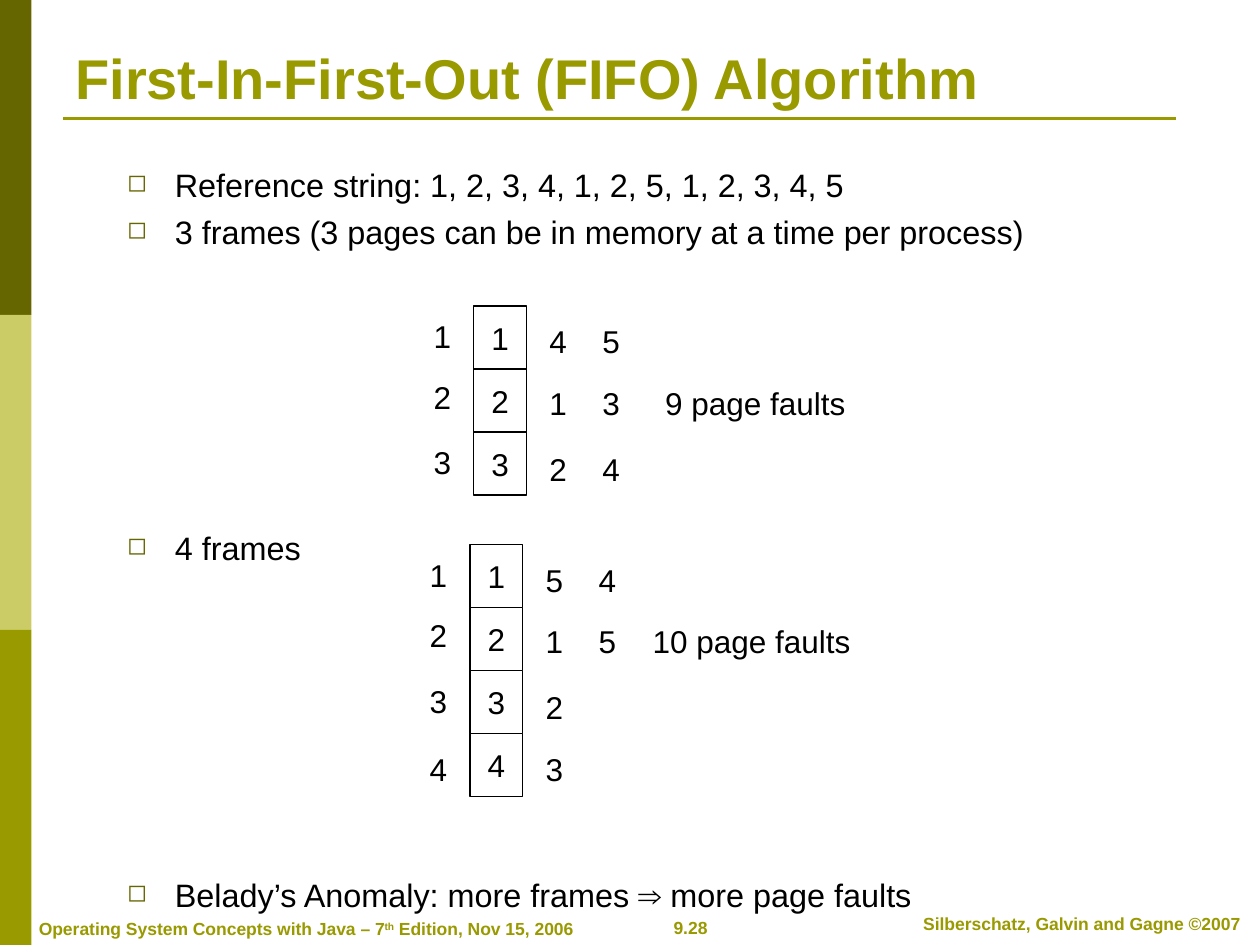
from dataclasses import dataclass

from lxml import etree
from pptx import Presentation
from pptx.dml.color import RGBColor as RGB
from pptx.enum.shapes import MSO_CONNECTOR as CONN, MSO_SHAPE as SHAPE
from pptx.enum.text import MSO_ANCHOR as ANCHOR, PP_ALIGN as ALIGN
from pptx.oxml.ns import qn
from pptx.util import Inches, Pt


@dataclass(frozen=True)
class Theme:
    font: str = "Arial"
    dark: str = "666600"
    pale: str = "CCCC66"
    olive: str = "999900"
    ink: str = "000000"
    paper: str = "FFFFFF"
    title: float = 32
    body: float = 18.5
    cell: float = 18
    footer: float = 10


THEME = Theme()
ROW = 0.5
CELL_W = 0.42
MARK_W, MARK_H = 0.34, 0.4
# Offsets from the top left of a frame stack
LABEL_X, LABEL_YS = -0.42, (0.04, 0.52, 1.04, 1.58)
PAGE_XS, PAGE_YS = (0.5, 0.92), (0.08, 0.57, 1.09, 1.58)


def style(r, size, color, bold=False):
    r.font.name = THEME.font
    r.font.size = Pt(size)
    r.font.bold = bold
    r.font.color.rgb = RGB.from_string(color)


def add_text(s, box, text, size, color=THEME.ink, bold=False,
             align=ALIGN.LEFT, anchor=ANCHOR.TOP, wrap=False):
    tf = s.shapes.add_textbox(*map(Inches, box)).text_frame
    tf.word_wrap = wrap
    tf.vertical_anchor = anchor
    p = tf.paragraphs[0]
    p.text = text
    p.alignment = align
    style(p.runs[0], size, color, bold)
    return p


def add_rect(s, box, fill, line=None):
    sp = s.shapes.add_shape(SHAPE.RECTANGLE, *map(Inches, box))
    sp.shadow.inherit = False
    sp.fill.solid()
    sp.fill.fore_color.rgb = RGB.from_string(fill)
    if line:
        sp.line.color.rgb = RGB.from_string(line)
        sp.line.width = Pt(0.75)
    else:
        sp.line.fill.background()
    return sp


def add_rule(s, x1, x2, y, width):
    line = s.shapes.add_connector(CONN.STRAIGHT, Inches(x1), Inches(y),
                                  Inches(x2), Inches(y))
    line.line.color.rgb = RGB.from_string(THEME.olive)
    line.line.width = Pt(width)
    etree.SubElement(line._element.spPr, qn("a:effectLst"))


def add_bullet(p):
    pPr = p._p.get_or_add_pPr()
    pPr.set("marL", str(Inches(0.38)))
    pPr.set("indent", str(-Inches(0.38)))
    color = etree.SubElement(pPr, qn("a:buClr"))
    etree.SubElement(color, qn("a:srgbClr"), val=THEME.dark)
    etree.SubElement(pPr, qn("a:buSzPct"), val="75000")
    etree.SubElement(pPr, qn("a:buChar"), char="◻")


def add_bullets(s, box, items):
    tf = s.shapes.add_textbox(*map(Inches, box)).text_frame
    tf.word_wrap = True
    for i, (text, before) in enumerate(items):
        p = tf.add_paragraph() if i else tf.paragraphs[0]
        p.text = text
        add_bullet(p)
        if before:
            p.space_before = Pt(before)
        style(p.runs[0], THEME.body, THEME.ink)


def add_mark(s, x, y, text, width=MARK_W):
    add_text(s, (x, y, width, MARK_H), text, THEME.cell,
             align=ALIGN.CENTER, anchor=ANCHOR.MIDDLE)


def add_frames(s, x, y, count, page_columns, faults, faults_x, faults_w):
    for i in range(count):
        sp = add_rect(s, (x, y + i * ROW, CELL_W, ROW), THEME.paper, THEME.ink)
        tf = sp.text_frame
        tf.word_wrap = False
        tf.vertical_anchor = ANCHOR.MIDDLE
        p = tf.paragraphs[0]
        p.text = str(i + 1)
        p.alignment = ALIGN.CENTER
        style(p.runs[0], THEME.cell, THEME.ink)
        add_mark(s, x + LABEL_X, y + LABEL_YS[i], str(i + 1))
    # Pages loaded later into each frame
    for dx, pages in zip(PAGE_XS, page_columns):
        for dy, page in zip(PAGE_YS, pages):
            add_mark(s, x + dx, y + dy, page)
    add_mark(s, faults_x, y + PAGE_YS[1], faults, faults_w)


def add_footer(s):
    look = dict(size=THEME.footer, color=THEME.olive, bold=True)
    add_text(s, (4.99, 7.23, 0.98, 0.27), "9.28", align=ALIGN.CENTER, **look)
    add_text(s, (7.1, 7.2, 2.97, 0.27), "Silberschatz, Galvin and Gagne ©2007",
             align=ALIGN.CENTER, wrap=True, **look)
    p = add_text(s, (0.21, 7.24, 4.44, 0.27),
                 "Operating System Concepts with Java – 7", **look)
    for text, baseline in (("th", 30000), (" Edition, Nov 15, 2006", 0)):
        r = p.add_run()
        r.text = text
        style(r, **look)
        r.font._element.set("baseline", str(baseline))


def main():
    prs = Presentation()
    prs.slide_width, prs.slide_height = Inches(10), Inches(7.5)
    s = prs.slides.add_slide(prs.slide_layouts[6])

    # Side band, title rule and footer
    for i, color in enumerate((THEME.dark, THEME.pale, THEME.olive)):
        add_rect(s, (0, i * 2.5, 0.25, 2.5), color)
    add_rule(s, 0.5, 9.33, 0.94, 1.5)
    add_rule(s, 0.5, 1.5, 0.94, 2)
    add_footer(s)

    # Title and bullets
    add_text(s, (0.5, 0.3, 9, 0.63), "First-In-First-Out (FIFO) Algorithm",
             THEME.title, THEME.olive, True, anchor=ANCHOR.BOTTOM, wrap=True)
    add_bullets(s, (0.91, 1.26, 7.69, 6.3), [
        ("Reference string: 1, 2, 3, 4, 1, 2, 5, 1, 2, 3, 4, 5", 0),
        ("3 frames (3 pages can be in memory at a time per process)", 5),
        ("4 frames", 158),
        ("Belady’s Anomaly: more frames ⇒ more page faults", 176),
    ])

    # Frame stacks
    add_frames(s, 3.76, 2.43, 3, ("412", "534"), "9 page faults", 5.18, 1.63)
    add_frames(s, 3.73, 4.32, 4, ("5123", "45"), "10 page faults", 5.08, 1.77)

    prs.save("out.pptx")


if __name__ == "__main__":
    main()
